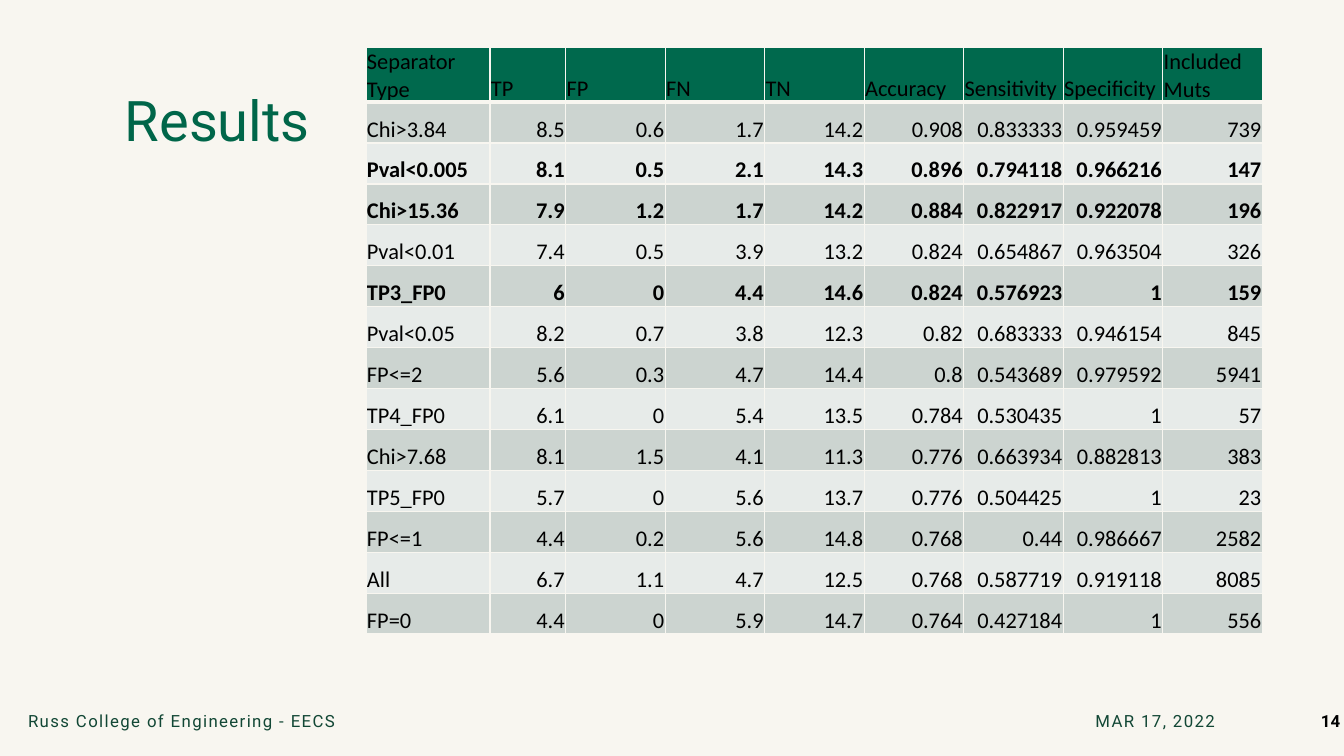
from lxml import etree
from pptx import Presentation, util as u
from pptx.dml.color import RGBColor
from pptx.enum import text
from pptx.oxml import ns

LEFT, RIGHT = text.PP_ALIGN.LEFT, text.PP_ALIGN.RIGHT
BACKGROUND = "F8F6F0"


def color(value):
    return RGBColor.from_string(value)


def style(para, name, size, value, bold=False, align=LEFT):
    para.alignment = align
    para.font.name = name
    para.font.size = u.Pt(size)
    para.font.bold = bold
    para.font.color.rgb = color(value)


deck = Presentation()
deck.slide_width = u.Inches(13.33)
deck.slide_height = u.Inches(7.5)
page = deck.slides.add_slide(deck.slide_layouts[6])
page.background.fill.solid()
page.background.fill.fore_color.rgb = color(BACKGROUND)

title = page.shapes.add_textbox(u.Inches(1.14), u.Inches(0.74), u.Inches(11.01), u.Inches(0.82))
title.text_frame.word_wrap = True
title.text_frame.vertical_anchor = text.MSO_ANCHOR.BOTTOM
para = title.text_frame.paragraphs[0]
para.text = "Results"
para.line_spacing = u.Pt(40)
style(para, "Roboto", 40, "006649")

footers = [
    ("MAR 17, 2022", 8.99, 3.16, "124735", False, RIGHT, 100),
    ("Russ College of Engineering - EECS", 0.18, 8.73, "124735", False, LEFT, 100),
    ("14", 12.9, 0.49, "000000", True, RIGHT, 0),
]
for words, left, width, value, bold, align, spacing in footers:
    box = page.shapes.add_textbox(u.Inches(left), u.Inches(6.95), u.Inches(width), u.Inches(0.4))
    box.text_frame.word_wrap = True
    box.text_frame.vertical_anchor = text.MSO_ANCHOR.MIDDLE
    para = box.text_frame.paragraphs[0]
    span = para.add_run()
    span.text = words
    style(para, "Roboto", 12, value, bold, align)
    if spacing:
        span.font._element.set("spc", str(spacing))

results = [
    ["Separator Type", "TP", "FP", "FN", "TN", "Accuracy", "Sensitivity", "Specificity", "Included Muts"],
    ["Chi>3.84", "8.5", "0.6", "1.7", "14.2", "0.908", "0.833333", "0.959459", "739"],
    ["Pval<0.005", "8.1", "0.5", "2.1", "14.3", "0.896", "0.794118", "0.966216", "147"],
    ["Chi>15.36", "7.9", "1.2", "1.7", "14.2", "0.884", "0.822917", "0.922078", "196"],
    ["Pval<0.01", "7.4", "0.5", "3.9", "13.2", "0.824", "0.654867", "0.963504", "326"],
    ["TP3_FP0", "6", "0", "4.4", "14.6", "0.824", "0.576923", "1", "159"],
    ["Pval<0.05", "8.2", "0.7", "3.8", "12.3", "0.82", "0.683333", "0.946154", "845"],
    ["FP<=2", "5.6", "0.3", "4.7", "14.4", "0.8", "0.543689", "0.979592", "5941"],
    ["TP4_FP0", "6.1", "0", "5.4", "13.5", "0.784", "0.530435", "1", "57"],
    ["Chi>7.68", "8.1", "1.5", "4.1", "11.3", "0.776", "0.663934", "0.882813", "383"],
    ["TP5_FP0", "5.7", "0", "5.6", "13.7", "0.776", "0.504425", "1", "23"],
    ["FP<=1", "4.4", "0.2", "5.6", "14.8", "0.768", "0.44", "0.986667", "2582"],
    ["All", "6.7", "1.1", "4.7", "12.5", "0.768", "0.587719", "0.919118", "8085"],
    ["FP=0", "4.4", "0", "5.9", "14.7", "0.764", "0.427184", "1", "556"],
]
bold_rows = {"Pval<0.005", "Chi>15.36", "TP3_FP0"}
header_height, table_height, table_width = 0.54, 5.82, 8.89
first_widths = [1.23, 0.75]
other_width = (table_width - sum(first_widths)) / 7
body_height = (table_height - header_height) / 13

table = page.shapes.add_table(
    len(results), len(results[0]),
    u.Inches(3.63), u.Inches(0.47), u.Inches(table_width), u.Inches(table_height),
).table
for column, width in zip(table.columns, first_widths + [other_width] * 7):
    column.width = u.Inches(width)

for row, values in enumerate(results):
    table.rows[row].height = u.Inches(body_height if row else header_height)
    fill = ("E7EBE9", "CCD4D0")[row % 2] if row else "00694D"
    for col, value in enumerate(values):
        cell = table.cell(row, col)
        cell.margin_left = cell.margin_right = cell.margin_top = u.Inches(0.01)
        cell.margin_bottom = 0
        cell.vertical_anchor = text.MSO_ANCHOR.BOTTOM
        para = cell.text_frame.paragraphs[0]
        para.text = value
        style(para, "Calibri", 16, "000000", values[0] in bold_rows, RIGHT if row and col else LEFT)
        properties = cell._tc.get_or_add_tcPr()
        for side in ("lnL", "lnR", "lnT", "lnB"):
            heavy = (row, side) in [(0, "lnB"), (1, "lnT")]
            line = etree.SubElement(properties, ns.qn("a:" + side), w=str(u.Pt(3 if heavy else 1)))
            solid = etree.SubElement(line, ns.qn("a:solidFill"))
            etree.SubElement(solid, ns.qn("a:srgbClr"), val=BACKGROUND)
        cell.fill.solid()
        cell.fill.fore_color.rgb = color(fill)

deck.save("out.pptx")
